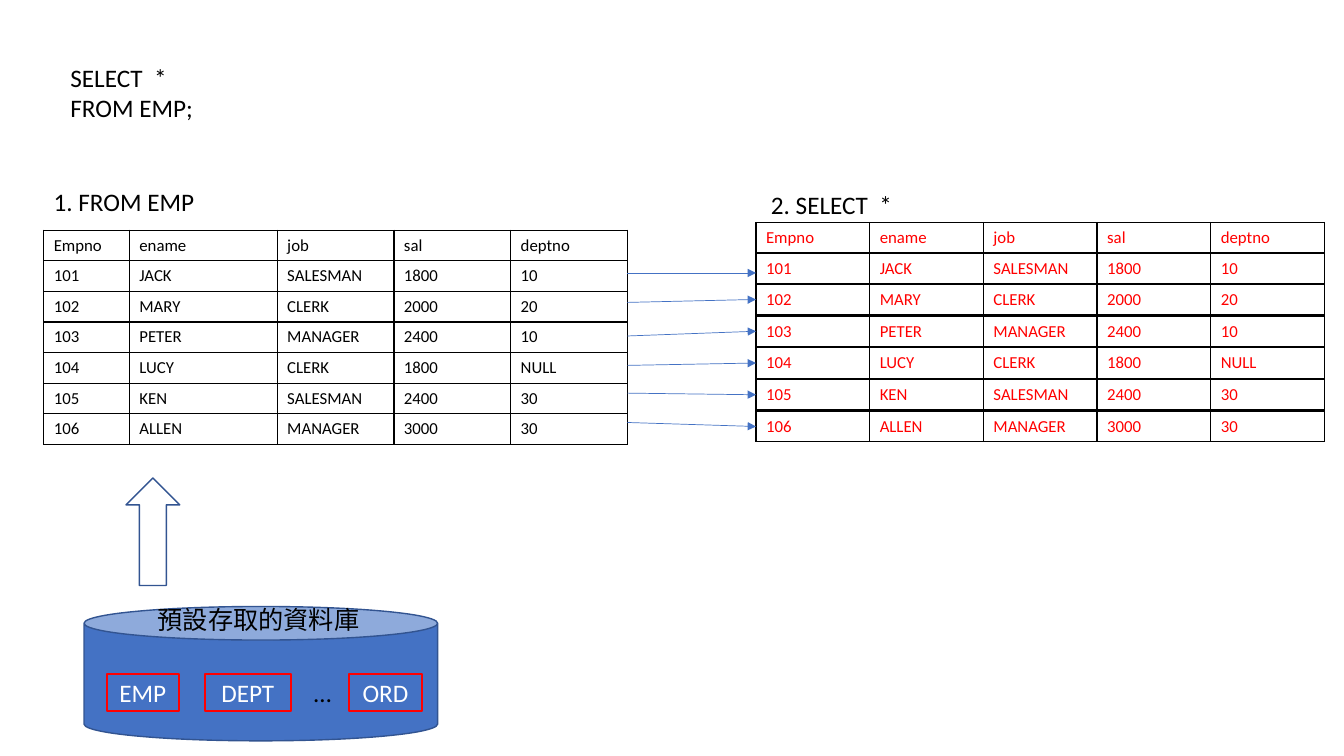
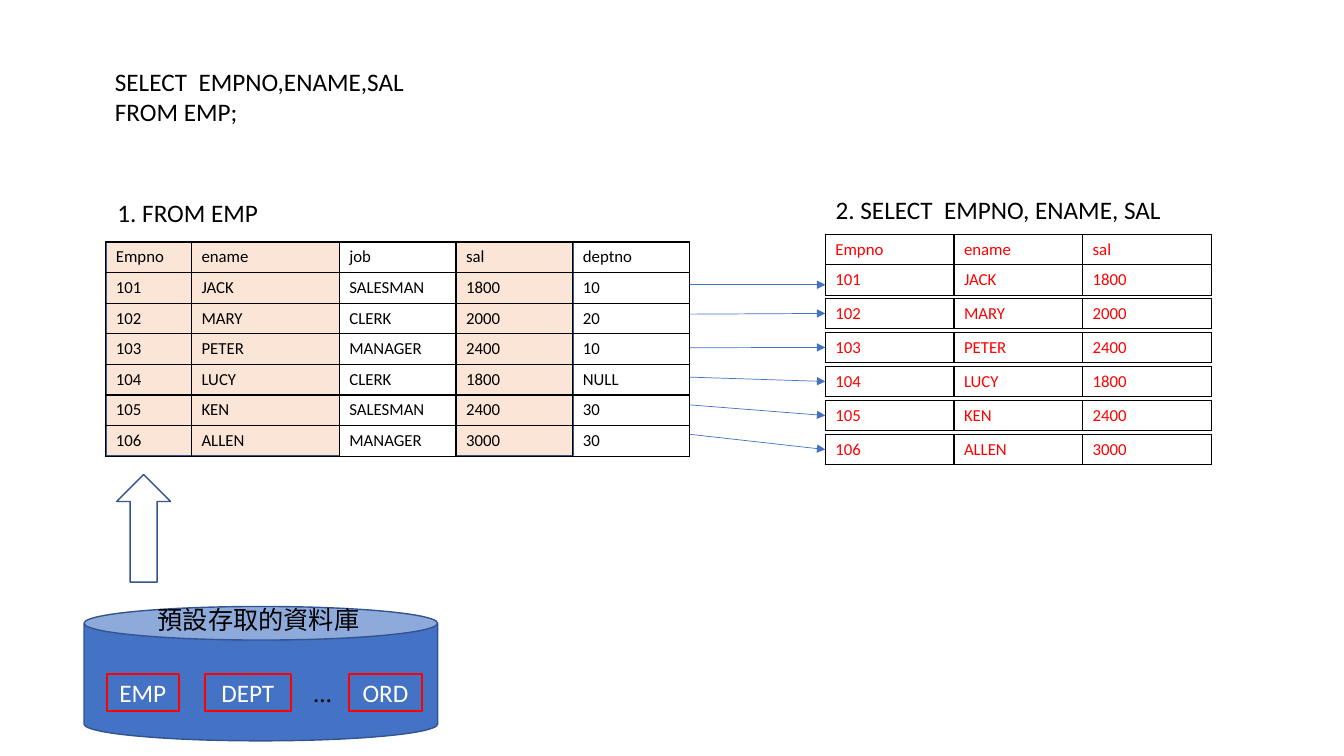
import lxml.etree
import pptx
import pptx.dml.color
import pptx.enum.shapes
import pptx.enum.text
import pptx.oxml.ns
import pptx.util

SLIDE_WIDTH = pptx.util.Emu(12192000)
SLIDE_HEIGHT = pptx.util.Emu(6858000)
GRID_COLUMNS, GRID_ROWS = 160, 90

BLACK, WHITE, RED = "000000", "FFFFFF", "FF0000"
BLUE, DARK_BLUE, PEACH = "4472C4", "325491", "FBE5D6"
LATIN, CHINESE = "Calibri", "Noto Sans CJK SC"
SHAPES = pptx.enum.shapes.MSO_SHAPE

EMPLOYEES = [
    ["Empno", "ename", "job", "sal", "deptno"],
    ["101", "JACK", "SALESMAN", "1800", "10"],
    ["102", "MARY", "CLERK", "2000", "20"],
    ["103", "PETER", "MANAGER", "2400", "10"],
    ["104", "LUCY", "CLERK", "1800", "NULL"],
    ["105", "KEN", "SALESMAN", "2400", "30"],
    ["106", "ALLEN", "MANAGER", "3000", "30"],
]
EMPLOYEE_WIDTHS = [10.2, 17.6, 13.9, 13.9, 13.9]
ROW_HEIGHT = 3.63
LABEL_HEIGHT = 4.8
ARROW_STARTS = [5.1, 8.6, 12.6, 16.1, 19.4, 22.9]


def across(columns):
    """Turn grid columns into a length."""
    return int(SLIDE_WIDTH * columns / GRID_COLUMNS)


def down(rows):
    """Turn grid rows into a length."""
    return int(SLIDE_HEIGHT * rows / GRID_ROWS)


def place(left, top, width, height):
    """Turn a grid box into slide lengths."""
    return across(left), down(top), across(width), down(height)


def colour(hex_string):
    """Read a colour from its hex string."""
    return pptx.dml.color.RGBColor.from_string(hex_string)


def add_element(parent, tag, **attributes):
    """Append a drawing element to its parent."""
    return lxml.etree.SubElement(parent, pptx.oxml.ns.qn(tag), attributes)


def write(paragraph, text, size, hex_string, typeface=LATIN):
    """Add one styled run to a paragraph."""
    run = paragraph.add_run()
    run.text = text
    run.font.size = pptx.util.Pt(size)
    run.font.color.rgb = colour(hex_string)
    run.font.name = typeface
    add_element(run.font._element, "a:ea", typeface=typeface)


def add_label(slide, box, lines, typeface=LATIN):
    """Add unwrapped lines of plain text."""
    frame = slide.shapes.add_textbox(*place(*box)).text_frame
    frame.word_wrap = False
    for number, line in enumerate(lines):
        paragraph = frame.add_paragraph() if number else frame.paragraphs[0]
        write(paragraph, line, 18, BLACK, typeface)


def add_figure(slide, preset, box, fill=None, line=DARK_BLUE, weight=1, text=""):
    """Add a flat preset shape with optional fill and centred text."""
    figure = slide.shapes.add_shape(preset, *place(*box))
    figure.shadow.inherit = False
    if fill:
        figure.fill.solid()
        figure.fill.fore_color.rgb = colour(fill)
    else:
        figure.fill.background()
    figure.line.color.rgb = colour(line)
    figure.line.width = pptx.util.Pt(weight)
    if text:
        figure.text_frame.vertical_anchor = pptx.enum.text.MSO_ANCHOR.MIDDLE
        paragraph = figure.text_frame.paragraphs[0]
        paragraph.alignment = pptx.enum.text.PP_ALIGN.CENTER
        write(paragraph, text, 18, WHITE)


def outline_cell(cell):
    """Draw a thin black border on all sides of a cell."""
    properties = cell._tc.get_or_add_tcPr()
    for side in ("a:lnL", "a:lnR", "a:lnT", "a:lnB"):
        border = add_element(properties, side, w=str(pptx.util.Pt(1)))
        add_element(add_element(border, "a:solidFill"), "a:srgbClr", val=BLACK)


def add_grid(slide, left, top, widths, records, text_colour):
    """Add an unfilled table of records."""
    box = place(left, top, sum(widths), ROW_HEIGHT * len(records))
    grid = slide.shapes.add_table(len(records), len(widths), *box).table
    grid.first_row = grid.horz_banding = False
    for column, width in zip(grid.columns, widths):
        column.width = across(width)
    for row, record in zip(grid.rows, records):
        row.height = down(ROW_HEIGHT)
        for cell, value in zip(row.cells, record):
            outline_cell(cell)
            cell.fill.background()
            write(cell.text_frame.paragraphs[0], value, 12, text_colour)


def add_arrow(slide, start, end):
    """Add a thin arrow between two grid points."""
    arrow = slide.shapes.add_connector(
        pptx.enum.shapes.MSO_CONNECTOR.STRAIGHT,
        across(start[0]), down(start[1]), across(end[0]), down(end[1]))
    arrow.line.color.rgb = colour(BLUE)
    arrow.line.width = pptx.util.Pt(0.5)
    add_element(arrow.line._get_or_add_ln(), "a:tailEnd", type="triangle")
    add_element(arrow._element.spPr, "a:effectLst")


def add_database(slide):
    """Draw the database and the tables it holds."""
    add_figure(slide, SHAPES.CAN, (10, 72.2, 42.1, 16), fill=BLUE)
    for name, left, width in (("EMP", 12.7, 8.6), ("DEPT", 24.4, 10.2), ("ORD", 41.6, 8.6)):
        add_figure(slide, SHAPES.RECTANGLE, (left, 80.2, width, 4.4),
                   line=RED, weight=1.5, text=name)
    add_label(slide, (36.2, 80, 4.6, LABEL_HEIGHT), ["…"])
    add_label(slide, (17.6, 71.4, 26.6, LABEL_HEIGHT), ["預設存取的資料庫"], CHINESE)


def add_source(slide, left, top, highlighted):
    """Add the employee table over its highlighted columns."""
    for index in highlighted:
        box = (left + sum(EMPLOYEE_WIDTHS[:index]), top,
               EMPLOYEE_WIDTHS[index], ROW_HEIGHT * len(EMPLOYEES))
        add_figure(slide, SHAPES.RECTANGLE, box, fill=PEACH)
    add_grid(slide, left, top, EMPLOYEE_WIDTHS, EMPLOYEES, BLACK)


def add_result(slide, left, top, width, selected, strip_tops):
    """Add the selected columns as one strip per record."""
    records = [[record[index] for index in selected] for record in EMPLOYEES]
    widths = [width] * len(selected)
    add_grid(slide, left, top, widths, records[:2], RED)
    for strip_top, record in zip(strip_tops, records[2:]):
        add_grid(slide, left, strip_top, widths, [record], RED)


def add_query_slide(deck, query, query_box, source, source_label, result,
                    result_label, result_text, strips, selected, highlighted, up_arrow):
    """Show how one query reads the source and builds its result."""
    slide = deck.slides.add_slide(deck.slide_layouts[6])
    add_source(slide, *source, highlighted)
    add_label(slide, query_box, query)
    add_label(slide, (*source_label, 19.3, LABEL_HEIGHT), ["1. FROM EMP"])
    add_label(slide, (*result_label, LABEL_HEIGHT), [result_text])
    add_database(slide)
    add_figure(slide, SHAPES.UP_ARROW, (*up_arrow, 6.4, 12.8))

    first_strip, step = strips
    strip_tops = [first_strip + step * number for number in range(len(EMPLOYEES) - 2)]
    add_result(slide, *result, selected, strip_tops)

    source_right = source[0] + sum(EMPLOYEE_WIDTHS)
    starts = [source[1] + offset for offset in ARROW_STARTS]
    ends = starts[:1] + [top + ROW_HEIGHT / 2 for top in strip_tops]
    for start, end in zip(starts, ends):
        add_arrow(slide, (source_right, start), (result[0], end))


def main():
    """Build and save both query slides."""
    deck = pptx.Presentation()
    deck.slide_width, deck.slide_height = SLIDE_WIDTH, SLIDE_HEIGHT
    add_query_slide(
        deck, query=["SELECT  *", "FROM EMP;"], query_box=(7.2, 6.8, 17.2, 8.5),
        source=(5.2, 27.4), source_label=(5.2, 21.6),
        result=(90, 26.5, 13.54), result_label=(90.6, 22, 17),
        result_text="2. SELECT  *", strips=(33.84, 3.78),
        selected=range(5), highlighted=[], up_arrow=(15, 56.9))
    add_query_slide(
        deck, query=["SELECT  EMPNO,ENAME,SAL", "FROM EMP;"],
        query_box=(12.5, 7.3, 37.2, 8.5),
        source=(12.6, 28.8), source_label=(12.8, 22.9),
        result=(98.25, 27.9, 15.32), result_label=(98.3, 22.6, 41.5),
        result_text="2. SELECT  EMPNO, ENAME, SAL", strips=(35.5, 4.05),
        selected=[0, 1, 3], highlighted=[0, 1, 3], up_arrow=(13.9, 56.5))
    deck.save("out.pptx")


if __name__ == "__main__":
    main()
